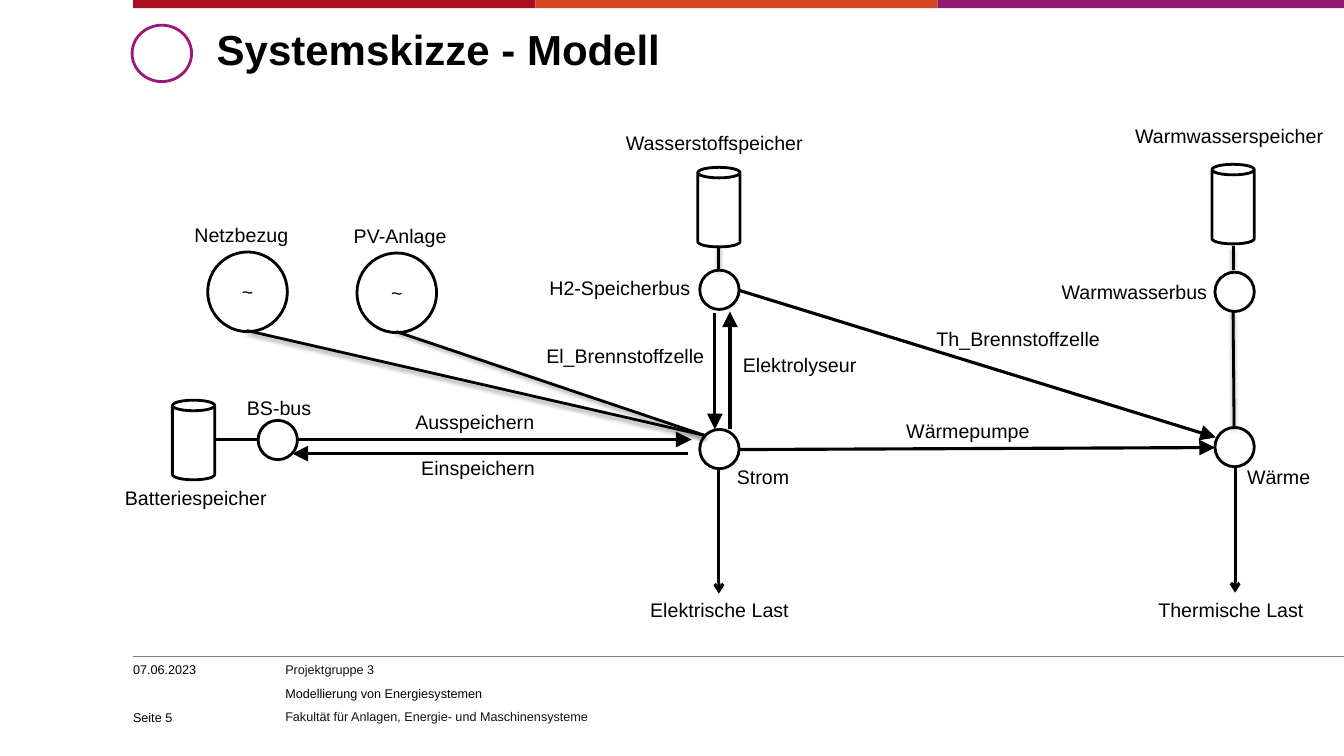
from dataclasses import dataclass

from lxml.etree import SubElement
from pptx import Presentation
from pptx.dml.color import RGBColor
from pptx.enum.shapes import MSO_CONNECTOR as Conn, MSO_SHAPE as Shp
from pptx.enum.text import MSO_ANCHOR as Anchor, MSO_AUTO_SIZE as Auto, PP_ALIGN as Align
from pptx.oxml.ns import qn
from pptx.util import Emu, Pt

PX = 9144
FONT = "Arial"
BLACK, WHITE, GREY, INK, PURPLE = "000000", "FFFFFF", "808080", "141313", "9D167A"
BUS, SOURCE, STORE = (39, 39), (79, 79), (42, 79)


@dataclass
class Node:
    x: int
    y: int
    size: tuple[int, int]
    kind: Shp = Shp.OVAL
    text: str = ""
    line: str = BLACK


@dataclass
class Label:
    text: str
    x: int
    y: int
    w: int


@dataclass
class Link:
    x1: int
    y1: int
    x2: int
    y2: int
    head: str = ""
    shadow: bool = False
    width: float = 2.25
    color: str = BLACK


@dataclass
class Note:
    lines: list[tuple[str, str]]
    x: int
    y: int
    w: int
    h: int
    size: int = 9
    bold: bool = False
    anchor: Anchor = Anchor.TOP
    spacing: int | None = None


STRIPES = [("AA0F1F", 132, 531), ("D7471F", 531, 930), ("901B6E", 930, 1333)]

NODES = [
    Node(131, 25, (59, 56), line=PURPLE),
    Node(206, 250, SOURCE, text="~"),
    Node(354, 251, SOURCE, text="~"),
    Node(694, 426, BUS),
    Node(694, 268, BUS),
    Node(256, 417, BUS),
    Node(1205, 424, BUS),
    Node(1205, 270, BUS),
    Node(171, 397, STORE, Shp.CAN),
    Node(692, 166, STORE, Shp.CAN),
    Node(1202, 163, STORE, Shp.CAN),
]

LINKS = [
    Link(132, 651, 1333, 651, width=0.5, color=GREY),
    Link(393, 329, 699, 432, shadow=True, width=2),
    Link(245, 328, 699, 432, shadow=True, width=2),
    Link(713, 268, 713, 244, shadow=True, width=2),
    Link(1223, 268, 1223, 244, shadow=True, width=2),
    Link(1224, 424, 1223, 309, shadow=True, width=2),
    Link(213, 436, 256, 436),
    Link(682, 450, 290, 450, "triangle"),
    Link(296, 436, 686, 436, "triangle"),
    Link(733, 446, 1205, 444, "triangle"),
    Link(733, 288, 1206, 434, "triangle"),
    Link(724, 426, 724, 309, "triangle"),
    Link(709, 311, 709, 426, "triangle"),
    Link(713, 465, 713, 589, "arrow"),
    Link(1225, 463, 1225, 588, "arrow"),
]

LABELS = [
    Label("Netzbezug", 183, 216, 114),
    Label("PV-Anlage", 341, 217, 114),
    Label("Strom", 721, 456, 72),
    Label("Elektrische Last", 635, 588, 159),
    Label("Batteriespeicher", 114, 477, 162),
    Label("BS-bus", 235, 388, 85),
    Label("Ausspeichern", 402, 402, 139),
    Label("Einspeichern", 408, 447, 133),
    Label("Wasserstoffspeicher", 611, 125, 197),
    Label("H2-Speicherbus", 535, 269, 161),
    Label("El_Brennstoffzelle", 532, 336, 183),
    Label("Elektrolyseur", 727, 345, 133),
    Label("Th_Brennstoffzelle", 919, 319, 183),
    Label("Wärmepumpe", 889, 411, 143),
    Label("Warmwasserspeicher", 1116, 118, 213),
    Label("Warmwasserbus", 1043, 273, 165),
    Label("Wärme", 1227, 456, 86),
    Label("Thermische Last", 1139, 588, 170),
]

NOTES = [
    Note([("Systemskizze - Modell", BLACK)], 215, 32, 1100, 98, 30, True, spacing=30),
    Note([("07.06.2023", BLACK)], 132, 657, 142, 20),
    Note([("Seite 5", BLACK)], 132, 696, 106, 23, anchor=Anchor.BOTTOM),
    Note([("Projektgruppe 3", INK),
          ("Modellierung von Energiesystemen", BLACK),
          ("Fakultät für Anlagen, Energie- und Maschinensysteme", INK)], 283, 657, 646, 67),
]


def px(*values: int) -> list[Emu]:
    """Turn px into EMU."""
    return [Emu(v * PX) for v in values]


def rgb(value: str) -> RGBColor:
    """Turn a hex string into a colour."""
    return RGBColor.from_string(value)


def style(p, size: int, color: str = BLACK, bold: bool = False) -> None:
    """Format the runs of a paragraph."""
    for r in p.runs:
        r.font.name, r.font.size, r.font.bold = FONT, Pt(size), bold
        r.font.color.rgb = rgb(color)


def add_stripe(shapes, color: str, left: int, right: int) -> None:
    """Draw one colour stripe at the top edge."""
    s = shapes.add_shape(Shp.RECTANGLE, *px(left, 0, right - left, 8))
    s.shadow.inherit = False
    s.fill.solid()
    s.fill.fore_color.rgb = rgb(color)
    s.line.fill.background()


def add_node(shapes, node: Node) -> None:
    """Draw a bus, source or storage."""
    s = shapes.add_shape(node.kind, *px(node.x, node.y, *node.size))
    s.shadow.inherit = False
    s.fill.solid()
    s.fill.fore_color.rgb = rgb(WHITE)
    s.line.color.rgb, s.line.width = rgb(node.line), Pt(2)
    if node.text:
        tf = s.text_frame
        tf.text, tf.vertical_anchor = node.text, Anchor.MIDDLE
        tf.paragraphs[0].alignment = Align.CENTER
        style(tf.paragraphs[0], 14)


def add_link(shapes, link: Link) -> None:
    """Draw a line with an optional arrowhead and shadow."""
    s = shapes.add_connector(Conn.STRAIGHT, *px(link.x1, link.y1, link.x2, link.y2))
    s.line.color.rgb, s.line.width = rgb(link.color), Pt(link.width)
    if link.head:
        size = "lg" if link.head == "triangle" else "med"
        SubElement(s.line._get_or_add_ln(), qn("a:tailEnd"), type=link.head, w=size, len=size)
    effects = SubElement(s._element.spPr, qn("a:effectLst"))
    if link.shadow:
        shadow = SubElement(effects, qn("a:outerShdw"), blurRad="40000", dist="20000",
                            dir="5400000", rotWithShape="0")
        color = SubElement(shadow, qn("a:srgbClr"), val=BLACK)
        SubElement(color, qn("a:alpha"), val="38000")


def add_label(shapes, label: Label) -> None:
    """Write the name of a part of the model."""
    tf = shapes.add_textbox(*px(label.x, label.y, label.w, 34)).text_frame
    tf.text, tf.word_wrap, tf.auto_size = label.text, False, Auto.SHAPE_TO_FIT_TEXT
    style(tf.paragraphs[0], 14)


def add_note(shapes, note: Note) -> None:
    """Write the title or a footer text."""
    tf = shapes.add_textbox(*px(note.x, note.y, note.w, note.h)).text_frame
    tf.margin_left = tf.margin_top = tf.margin_right = tf.margin_bottom = 0
    tf.word_wrap, tf.vertical_anchor = True, note.anchor
    tf.text = "\n".join(text for text, _ in note.lines)
    for p, (_, color) in zip(tf.paragraphs, note.lines):
        style(p, note.size, color, note.bold)
        if note.spacing:
            p.line_spacing = Pt(note.spacing)
        if len(note.lines) > 1:
            p.space_after = Pt(6)


def main() -> None:
    """Build the slide and save it."""
    prs = Presentation()
    prs.slide_width, prs.slide_height = px(1333, 750)
    shapes = prs.slides.add_slide(prs.slide_layouts[6]).shapes
    for stripe in STRIPES:
        add_stripe(shapes, *stripe)
    for draw, items in ((add_node, NODES), (add_link, LINKS),
                        (add_label, LABELS), (add_note, NOTES)):
        for item in items:
            draw(shapes, item)
    prs.save("out.pptx")


if __name__ == "__main__":
    main()
